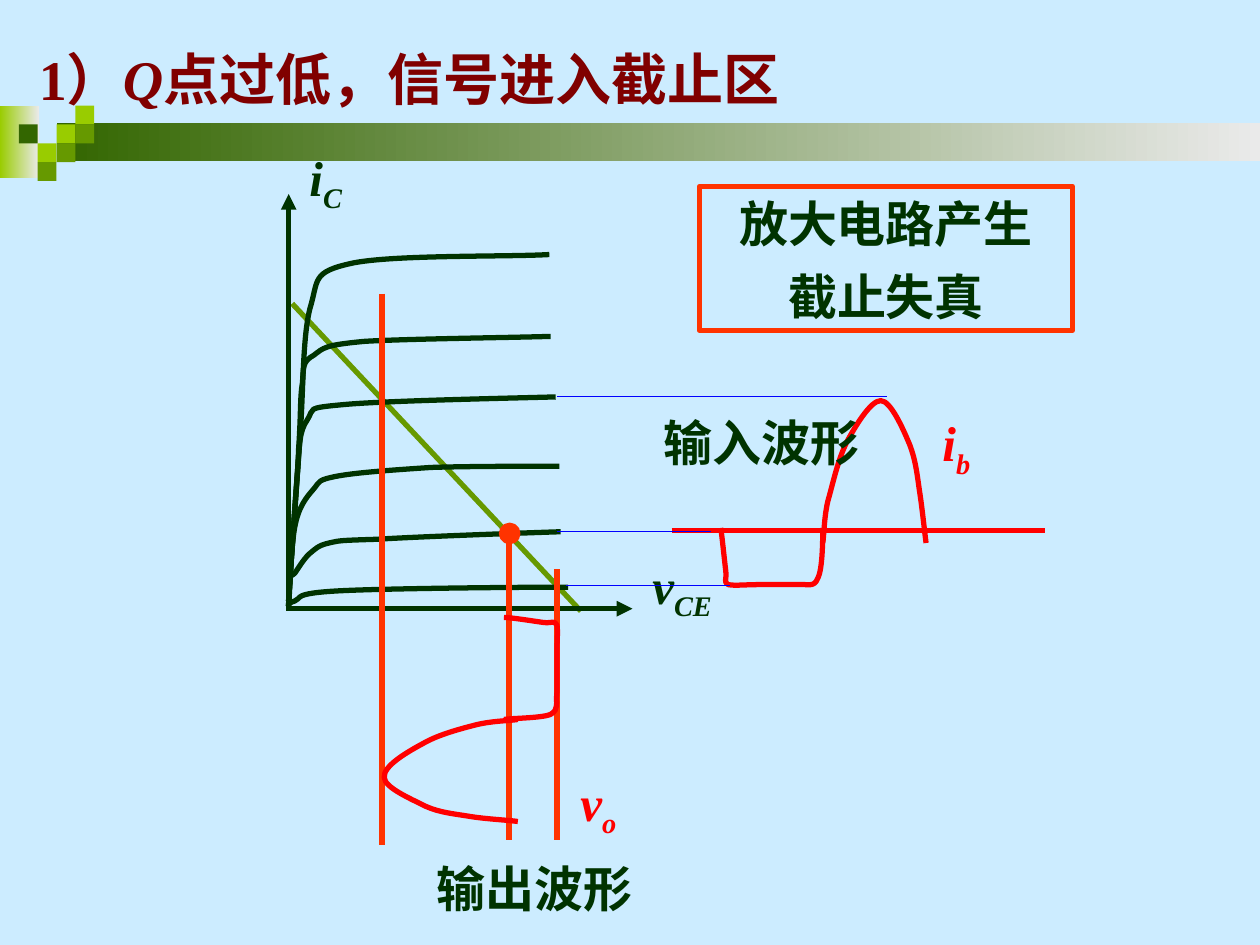
from lxml import etree
from pptx import Presentation
from pptx.dml.color import RGBColor
from pptx.enum.shapes import MSO_CONNECTOR, MSO_SHAPE
from pptx.enum.text import MSO_ANCHOR, MSO_AUTO_SIZE, PP_ALIGN
from pptx.oxml.ns import qn
from pptx.util import Cm, Pt

RECTANGLE, OVAL = MSO_SHAPE.RECTANGLE, MSO_SHAPE.OVAL
STRAIGHT = MSO_CONNECTOR.STRAIGHT
LEFT, CENTER = PP_ALIGN.LEFT, PP_ALIGN.CENTER
MIDDLE = MSO_ANCHOR.MIDDLE
NO_AUTOFIT = MSO_AUTO_SIZE.NONE

SKY = RGBColor(0xCC, 0xEC, 0xFF)
INK = RGBColor(0x00, 0x33, 0x00)
MAROON = RGBColor(0x80, 0x00, 0x00)
RED = RGBColor(0xFF, 0x00, 0x00)
ORANGE = RGBColor(0xFF, 0x33, 0x00)
BLUE = RGBColor(0x00, 0x00, 0xFF)
LIME = RGBColor(0x99, 0xCC, 0x00)
GREEN = RGBColor(0x66, 0x99, 0x00)
FOREST = RGBColor(0x33, 0x66, 0x00)
GREY = RGBColor(0xEA, 0xEA, 0xEA)

FONT = "Times New Roman"
CURVE_UNIT = Cm(0.0254)
TILE = 0.38
TILE_TOP = 2.13

# Column, row and colour of each tile in the corner ornament.
TILES = [(3, 1, LIME), (4, 0, LIME), (4, 1, GREEN), (2, 2, LIME),
         (1, 1, FOREST), (3, 2, GREEN), (2, 3, GREEN)]

# Each curve is a start point followed by triples of Bezier points, in CURVE_UNIT.
OUTPUT_CHARACTERISTICS = [
    [(229, 481), (230, 481), (227, 479), (234, 477), (240, 475), (231, 471),
     (268, 469), (304, 467), (413, 466), (451, 466)],
    [(229, 481), (229, 478), (230, 464), (230, 459), (231, 455), (231, 458),
     (234, 455), (236, 452), (241, 444), (245, 440), (250, 436), (252, 433),
     (261, 431), (270, 429), (268, 429), (299, 428), (330, 426), (415, 423),
     (445, 422)],
    [(229, 481), (230, 471), (231, 433), (234, 418), (237, 402), (243, 395),
     (249, 388), (254, 382), (252, 381), (267, 378), (283, 375), (312, 373),
     (342, 371), (371, 370), (423, 370), (444, 370)],
    [(229, 477), (230, 460), (234, 401), (236, 377), (238, 353), (237, 343),
     (244, 333), (250, 324), (241, 324), (274, 321), (307, 318), (406, 316),
     (441, 315)],
    [(229, 477), (230, 457), (236, 385), (237, 356), (239, 327), (238, 316),
     (240, 304), (241, 291), (240, 287), (249, 282), (257, 276), (257, 274),
     (289, 271), (320, 269), (406, 268), (437, 267)],
    [(229, 481), (230, 459), (235, 388), (238, 349), (241, 309), (240, 269),
     (246, 245), (253, 222), (247, 216), (279, 209), (311, 202), (403, 204),
     (436, 202)],
]
OUTPUT_WAVE = [
    [(400, 490), (405, 490), (424, 493), (431, 494), (438, 495), (440, 492),
     (442, 496), (443, 500), (442, 510), (442, 519), (442, 528), (442, 542),
     (442, 550), (441, 558), (444, 563), (437, 567), (430, 570), (406, 570),
     (400, 571)],
    [(411, 571), (406, 572), (392, 572), (379, 575), (367, 578), (348, 583),
     (336, 590), (323, 597), (304, 608), (305, 617), (305, 625), (326, 634),
     (338, 640), (349, 645), (361, 646), (373, 648), (385, 650), (404, 651),
     (411, 652)],
]
INPUT_WAVE = [
    [(572, 419), (573, 425), (575, 445), (576, 453), (577, 460), (574, 462),
     (578, 464), (583, 465), (592, 464), (601, 464), (610, 464), (625, 464),
     (633, 464), (640, 463), (646, 467), (649, 459), (653, 452), (653, 426),
     (653, 419)],
    [(653, 431), (654, 425), (654, 411), (657, 398), (661, 384), (665, 365),
     (672, 351), (679, 338), (691, 318), (699, 318), (707, 318), (717, 341),
     (722, 353), (727, 366), (728, 378), (730, 391), (732, 404), (734, 424),
     (735, 431)],
]


def add_block(slide, kind, left, top, width, height):
    block = slide.shapes.add_shape(kind, Cm(left), Cm(top), Cm(width), Cm(height))
    block.shadow.inherit = False
    block.line.fill.background()
    return block


def fill_solid(block, color):
    block.fill.solid()
    block.fill.fore_color.rgb = color


def outline(drawn, color, weight=3):
    drawn.line.color.rgb = color
    drawn.line.width = Pt(weight)


def add_gradient_bar(slide, left, top, width, height, start_color):
    bar = add_block(slide, RECTANGLE, left, top, width, height)
    bar.fill.gradient()
    bar.fill.gradient_angle = 0
    for stop, color in zip(bar.fill.gradient_stops, (start_color, GREY)):
        stop.color.rgb = color


def add_line(slide, start, end, color, weight=3, arrow=False):
    line = slide.shapes.add_connector(STRAIGHT, *map(Cm, start + end))
    outline(line, color, weight)
    properties = line.element.spPr
    if arrow:
        etree.SubElement(properties.find(qn("a:ln")), qn("a:tailEnd"), type="triangle")
    etree.SubElement(properties, qn("a:effectLst"))


def add_curve(slide, points, color):
    """Draw the points as a freeform, then join its segments in threes as Beziers."""
    builder = slide.shapes.build_freeform(*points[0], scale=CURVE_UNIT)
    builder.add_line_segments(points[1:], close=False)
    curve = builder.convert_to_shape()
    curve.shadow.inherit = False
    curve.fill.background()
    outline(curve, color)
    segments = list(curve.element.iter(qn("a:lnTo")))
    outline_path = segments[0].getparent()
    for first in range(0, len(segments), 3):
        bezier = etree.SubElement(outline_path, qn("a:cubicBezTo"))
        for segment in segments[first:first + 3]:
            bezier.append(segment[0])
            outline_path.remove(segment)


def add_run(paragraph, text, color, size=28, italic=False, subscript=False):
    run = paragraph.add_run()
    run.text = text
    run.font.name = FONT
    run.font.size = Pt(size)
    run.font.bold = True
    run.font.italic = italic
    run.font.color.rgb = color
    if subscript:
        run.font._element.set("baseline", "-25000")


def prepare_frame(holder, align, wrap=True):
    frame = holder.text_frame
    frame.auto_size = NO_AUTOFIT
    frame.word_wrap = wrap
    frame.vertical_anchor = MIDDLE
    frame.paragraphs[0].alignment = align
    return frame


def add_label(slide, left, top, width, height, align=LEFT, wrap=True):
    label = slide.shapes.add_textbox(Cm(left), Cm(top), Cm(width), Cm(height))
    return prepare_frame(label, align, wrap).paragraphs[0]


def add_symbol(slide, left, top, width, name, index, color, align=LEFT, wrap=True):
    """Label a quantity with an italic letter and its subscript."""
    paragraph = add_label(slide, left, top, width, 1.6, align, wrap)
    add_run(paragraph, name, color, italic=True)
    add_run(paragraph, index, color, italic=True, subscript=True)


def add_ornament(slide):
    add_gradient_bar(slide, 0, TILE_TOP, 0.79, 1.47, LIME)
    add_gradient_bar(slide, 1.14, 2.49, 24.26, 0.76, FOREST)
    for column, row, color in TILES:
        tile = add_block(slide, RECTANGLE, column * TILE, TILE_TOP + row * TILE, TILE, TILE)
        fill_solid(tile, color)


def set_title(slide):
    title = slide.shapes.title
    title.left, title.top, title.width, title.height = map(Cm, (0.53, 0.76, 19.61, 1.63))
    paragraph = prepare_frame(title, LEFT).paragraphs[0]
    add_run(paragraph, "1）", MAROON, 32)
    add_run(paragraph, "Q", MAROON, 32, italic=True)
    add_run(paragraph, "点过低，信号进入截止区", MAROON, 32)


def add_conclusion(slide):
    box = add_block(slide, RECTANGLE, 14.1, 3.76, 7.52, 2.9)
    box.fill.background()
    outline(box, ORANGE)
    frame = prepare_frame(box, CENTER)
    add_run(frame.paragraphs[0], "放大电路产生", INK)
    second = frame.add_paragraph()
    second.alignment = CENTER
    second.line_spacing = 0.7
    second.space_before = Pt(17.5)
    add_run(second, "截止失真", INK)


def add_characteristics(slide):
    add_line(slide, (5.89, 6.12), (11.71, 12.32), GREEN)
    add_symbol(slide, 5.99, 2.84, 5.08, "i", "C", INK)
    add_symbol(slide, 12.9, 11.07, 1.7, "v", "CE", INK, CENTER, wrap=False)
    add_line(slide, (5.77, 12.27), (12.75, 12.27), INK, arrow=True)
    add_line(slide, (5.82, 12.27), (5.82, 3.91), INK, arrow=True)
    for points in OUTPUT_CHARACTERISTICS:
        add_curve(slide, points, INK)
    q_point = add_block(slide, OVAL, 10.11, 10.59, 0.33, 0.33)
    fill_solid(q_point, ORANGE)
    outline(q_point, ORANGE)
    for x, top, bottom in [(10.26, 10.74, 16.94), (7.7, 5.92, 17.04), (11.23, 11.48, 16.94)]:
        add_line(slide, (x, top), (x, bottom), ORANGE)


def add_waveforms(slide):
    add_symbol(slide, 10.87, 15.44, 2.39, "v", "o", RED, CENTER)
    for points in OUTPUT_WAVE + INPUT_WAVE:
        add_curve(slide, points, RED)
    add_line(slide, (13.54, 10.69), (21.06, 10.69), RED)
    for left, top, text in [(8.56, 17.17, "输出波形"), (13.13, 8.18, "输入波形")]:
        add_run(add_label(slide, left, top, 5.28, 1.45), text, INK)
    add_symbol(slide, 18.75, 8.2, 1.4, "i", "b", RED)
    for left, right, y in [(11.23, 17.88, 8), (11.23, 14.33, 10.72), (11.4, 14.71, 11.81)]:
        add_line(slide, (left, y), (right, y), BLUE, 0.75)


def main():
    deck = Presentation()
    deck.slide_width, deck.slide_height = Cm(25.4), Cm(19.05)
    slide = deck.slides.add_slide(deck.slide_layouts[5])
    slide.background.fill.solid()
    slide.background.fill.fore_color.rgb = SKY
    add_ornament(slide)
    set_title(slide)
    add_characteristics(slide)
    add_conclusion(slide)
    add_waveforms(slide)
    deck.save("out.pptx")


if __name__ == "__main__":
    main()
